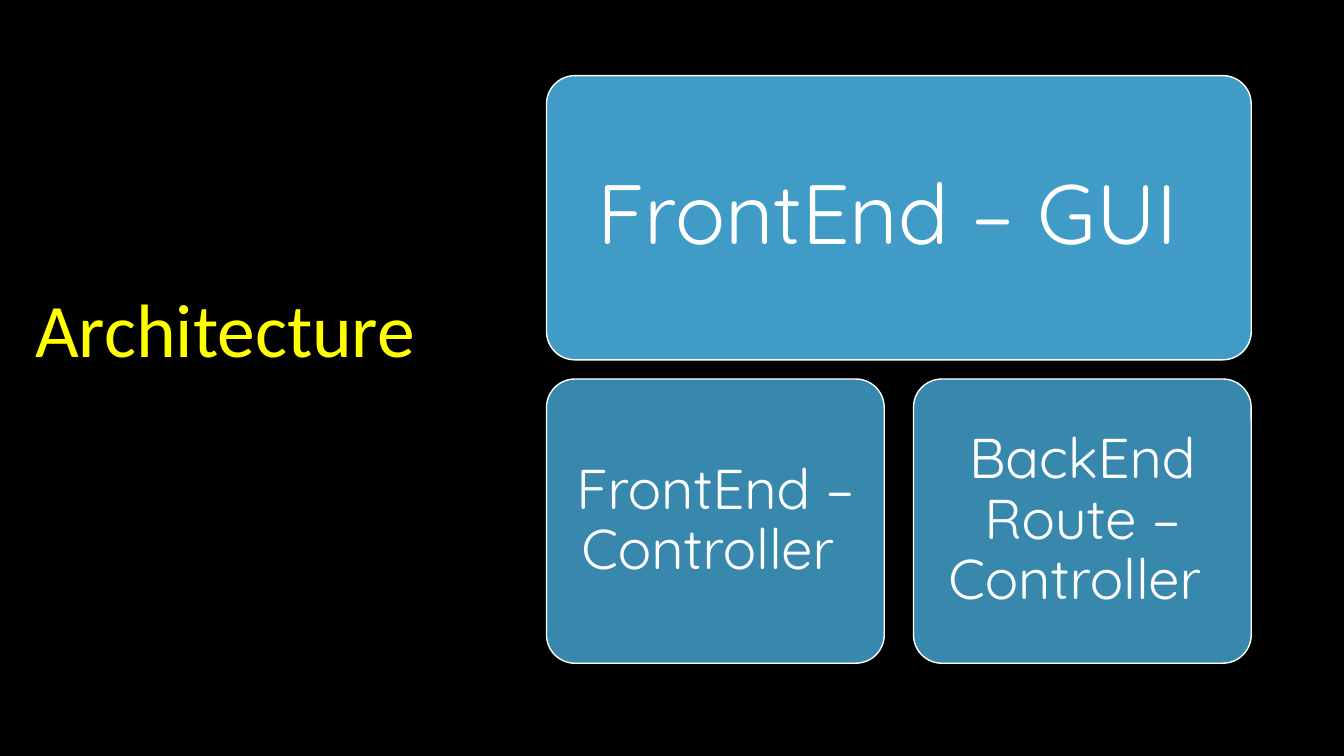
"""Build the Architecture slide: a title beside one wide layer over two controllers."""
from lxml import etree
from pptx import Presentation
from pptx import util as u
from pptx.dml.color import RGBColor
from pptx.enum import shapes, text
from pptx.oxml.ns import qn

BLACK = RGBColor(0x00, 0x00, 0x00)
YELLOW = RGBColor(0xFF, 0xFF, 0x00)
WHITE = RGBColor(0xFF, 0xFF, 0xFF)
SKY = RGBColor(0x51, 0xC3, 0xF9)

TITLE = "Architecture"
LAYERS = [
    {"labels": ["FrontEnd – GUI "], "size": 60, "inset": 0.25, "alpha": 80},
    {"labels": ["FrontEnd – Controller ", "BackEnd Route – Controller "],
     "size": 40, "inset": 0.17, "alpha": 70},
]
LEFT, TOP, WIDTH, HEIGHT = 5.42, 0.75, 6.99, 2.82
COL_GAP, ROW_GAP = 0.29, 0.19


def write(sp, label, font, anchor, align, inset=None):
    tf = sp.text_frame
    tf.word_wrap = True
    tf.vertical_anchor = anchor
    if inset is not None:
        for side in ("left", "top", "right", "bottom"):
            setattr(tf, f"margin_{side}", u.Inches(inset))
    p = tf.paragraphs[0]
    p.alignment, p.line_spacing = align, 0.9
    r = p.add_run()
    r.text = label
    color = font.pop("color")
    for key, value in font.items():
        setattr(r.font, key, value)
    r.font.color.rgb = color


def add_box(s, box, label, layer):
    sp = s.shapes.add_shape(shapes.MSO_SHAPE.ROUNDED_RECTANGLE, *map(u.Inches, box))
    sp.adjustments[0] = 0.1
    sp.shadow.inherit = False
    sp.fill.solid()
    sp.fill.fore_color.rgb = SKY
    clr = sp.fill._xPr.find(qn("a:solidFill"))[0]
    etree.SubElement(clr, qn("a:alpha")).set("val", str(layer["alpha"] * 1000))
    sp.line.color.rgb = WHITE
    sp.line.width = u.Pt(1)
    font = {"name": "Quicksand", "size": u.Pt(layer["size"]), "color": WHITE}
    write(sp, label, font, text.MSO_ANCHOR.MIDDLE, text.PP_ALIGN.CENTER, layer["inset"])


def main():
    prs = Presentation()
    prs.slide_width, prs.slide_height = u.Inches(13.33), u.Inches(7.5)
    s = prs.slides.add_slide(prs.slide_layouts[6])
    s.background.fill.solid()
    s.background.fill.fore_color.rgb = BLACK

    title = s.shapes.add_textbox(*map(u.Inches, (0.25, 2.09, 4.59, 1.67)))
    font = {"name": "Calibri", "size": u.Pt(54), "color": YELLOW}
    write(title, TITLE, font, text.MSO_ANCHOR.BOTTOM, text.PP_ALIGN.LEFT)

    for row, layer in enumerate(LAYERS):
        n = len(layer["labels"])
        width = (WIDTH - COL_GAP * (n - 1)) / n
        y = TOP + row * (HEIGHT + ROW_GAP)
        for col, label in enumerate(layer["labels"]):
            x = LEFT + col * (width + COL_GAP)
            add_box(s, (x, y, width, HEIGHT), label, layer)

    prs.save("out.pptx")


if __name__ == "__main__":
    main()
